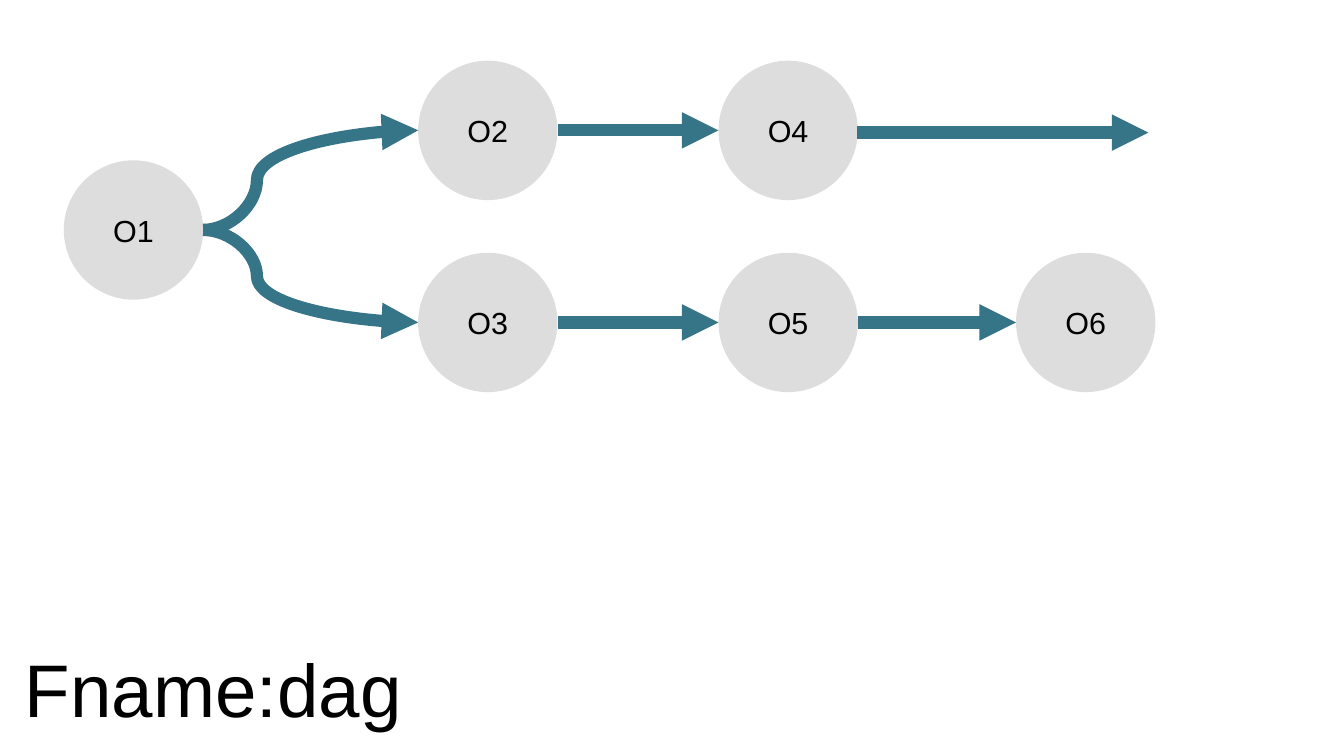
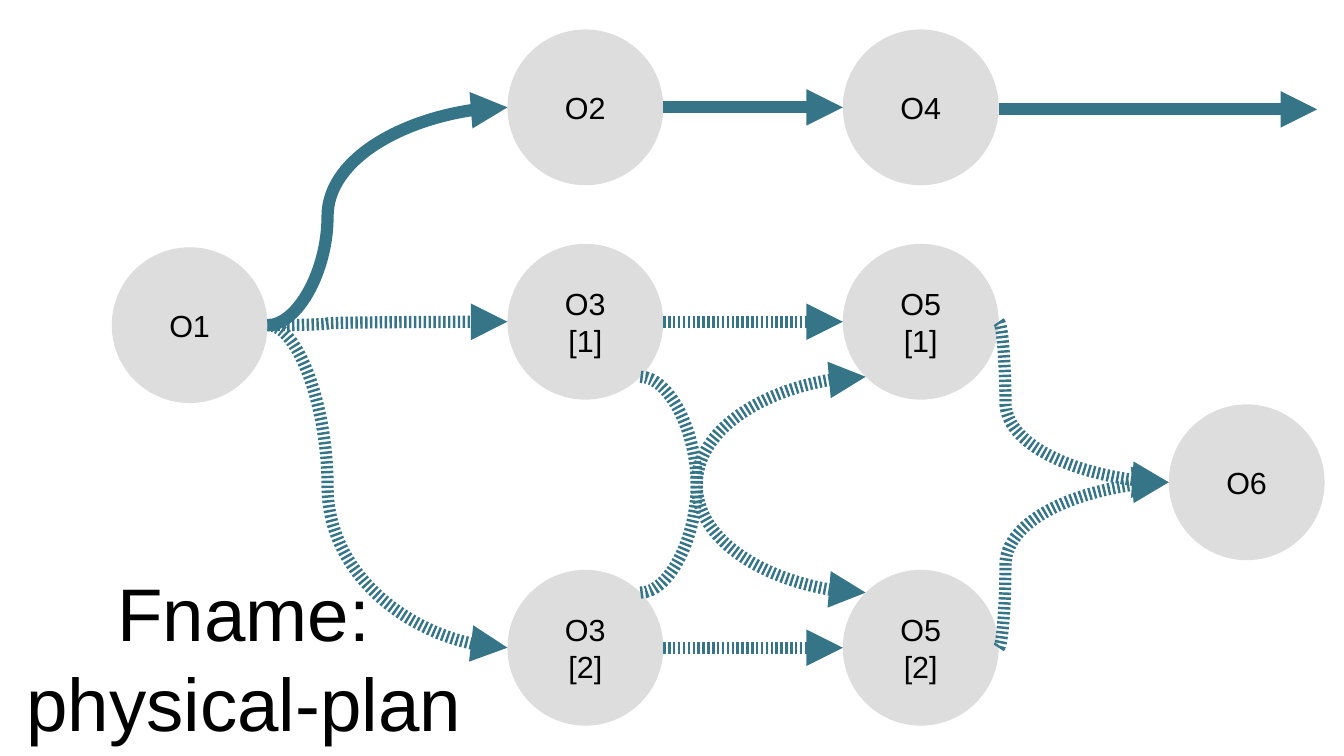
from dataclasses import dataclass
from math import cos, radians, sin

from pptx import Presentation
from pptx.dml.color import RGBColor
from pptx.enum.shapes import MSO_CONNECTOR as Link, MSO_SHAPE as Preset
from pptx.enum.text import MSO_ANCHOR as Anchor, MSO_AUTO_SIZE as AutoSize, PP_ALIGN as Align
from pptx.oxml.ns import qn
from pptx.oxml.xmlchemy import OxmlElement
from pptx.util import Pt


@dataclass(frozen=True)
class Theme:
    font: str = "Arial"
    title_size: int = 44
    node_size: int = 18
    arrow_width: float = 7.2
    text: RGBColor = RGBColor.from_string("000000")
    node: RGBColor = RGBColor.from_string("DDDDDD")
    arrow: RGBColor = RGBColor.from_string("367588")


def add_child(parent, tag, **attributes):
    child = OxmlElement(tag)
    for name, value in attributes.items():
        child.set(name, value)
    parent.append(child)
    return child


def rim(node, degrees):
    """Point on a circle's edge, measured clockwise from its right side."""
    radius = node.width / 2
    return (round(node.left + radius * (1 + cos(radians(degrees)))),
            round(node.top + radius * (1 + sin(radians(degrees)))))


class GraphDeck:
    def __init__(self, theme):
        self.theme = theme
        self.deck = Presentation()
        self.deck.slide_width, self.deck.slide_height = Pt(793.44), Pt(446.4)
        self.slide = None

    def new_slide(self, title, top, width, height):
        self.slide = self.deck.slides.add_slide(self.deck.slide_layouts[5])
        holder = self.slide.shapes.title
        holder.left, holder.top = Pt(7.2), Pt(top)
        holder.width, holder.height = Pt(width), Pt(height)
        frame = holder.text_frame
        frame.margin_left = frame.margin_right = frame.margin_top = frame.margin_bottom = 0
        self.set_text(frame, title, self.theme.title_size)
        frame.auto_size = AutoSize.SHAPE_TO_FIT_TEXT

    def set_text(self, frame, text, size):
        frame.text = text
        frame.word_wrap = True
        frame.vertical_anchor = Anchor.MIDDLE
        for paragraph in frame.paragraphs:
            paragraph.alignment = Align.CENTER
            paragraph.font.name = self.theme.font
            paragraph.font.size = Pt(size)
            paragraph.font.color.rgb = self.theme.text

    def node(self, text, x, y, diameter):
        """Draw a circle centred on x, y."""
        circle = self.slide.shapes.add_shape(
            Preset.OVAL, Pt(x - diameter / 2), Pt(y - diameter / 2), Pt(diameter), Pt(diameter))
        circle.shadow.inherit = False
        circle.fill.solid()
        circle.fill.fore_color.rgb = self.theme.node
        circle.line.fill.background()
        self.set_text(circle.text_frame, text, self.theme.node_size)
        return circle

    def arrow(self, start, end, bend=None, dashed=False):
        """Draw an arrow; bend is the share of its width where a curve turns."""
        kind = Link.STRAIGHT if bend is None else Link.CURVE
        connector = self.slide.shapes.add_connector(kind, *start, *end)
        connector.line.color.rgb = self.theme.arrow
        connector.line.width = Pt(self.theme.arrow_width)
        properties = connector._element.spPr
        line = properties.find(qn("a:ln"))
        if dashed:
            add_child(add_child(line, "a:custDash"), "a:ds", d="20000", sp="20000")
        add_child(line, "a:tailEnd", type="triangle")
        add_child(properties, "a:effectLst")
        if bend is not None:
            guides = properties.find(qn("a:prstGeom")).find(qn("a:avLst"))
            add_child(guides, "a:gd", name="adj1", fmla=f"val {round(bend * 100000)}")

    def join(self, source, target, bend=None, dashed=False, leave=0, enter=180):
        self.arrow(rim(source, leave), rim(target, enter), bend, dashed)


def logical_graph(deck):
    deck.new_slide("Fname:dag", 374.4, 237.6, 63.36)
    upper, lower, size = 77, 190.4, 82.3
    second, third = 288, 465.3
    o1 = deck.node("O1", 78.8, 135.8, size)
    o2 = deck.node("O2", second, upper, size)
    o3 = deck.node("O3", second, lower, size)
    o4 = deck.node("O4", third, upper, size)
    o5 = deck.node("O5", third, lower, size)
    o6 = deck.node("O6", 641, lower, size)
    for branch in (o2, o3):
        deck.join(o1, branch, bend=0.25)
    for source, target in ((o2, o4), (o3, o5), (o5, o6)):
        deck.join(source, target)
    deck.arrow((Pt(506), Pt(78.3)), (Pt(678), Pt(78.3)))


def physical_graph(deck):
    deck.new_slide("Fname:\vphysical-plan", 338.4, 273.6, 98.64)
    upper, middle, lower, size = 63.4, 190, 382.5, 92
    second, third = 345.6, 543.6
    o1 = deck.node("O1", 112, 192, size)
    o2 = deck.node("O2", second, upper, size)
    o4 = deck.node("O4", third, upper, size)
    o3_parts, o5_parts = (
        [deck.node(f"{name}\n[{part}]", x, y, size)
         for part, y in enumerate((middle, lower), start=1)]
        for name, x in (("O3", second), ("O5", third)))
    o6 = deck.node("O6", 736, 284.8, size)

    deck.join(o1, o2, bend=0.25)
    deck.join(o2, o4)
    deck.arrow((Pt(589.6), Pt(64.6)), (Pt(777.6), Pt(64.6)))
    for o3, o5 in zip(o3_parts, o5_parts):
        deck.join(o1, o3, bend=0.25, dashed=True)
        deck.join(o3, o5, dashed=True)
        deck.join(o5, o6, bend=0.04, dashed=True)
    deck.join(o3_parts[0], o5_parts[1], bend=0.25, dashed=True, leave=45, enter=225)
    deck.join(o3_parts[1], o5_parts[0], bend=0.25, dashed=True, leave=-45, enter=135)


def main():
    deck = GraphDeck(Theme())
    logical_graph(deck)
    physical_graph(deck)
    deck.deck.save("out.pptx")


if __name__ == "__main__":
    main()
